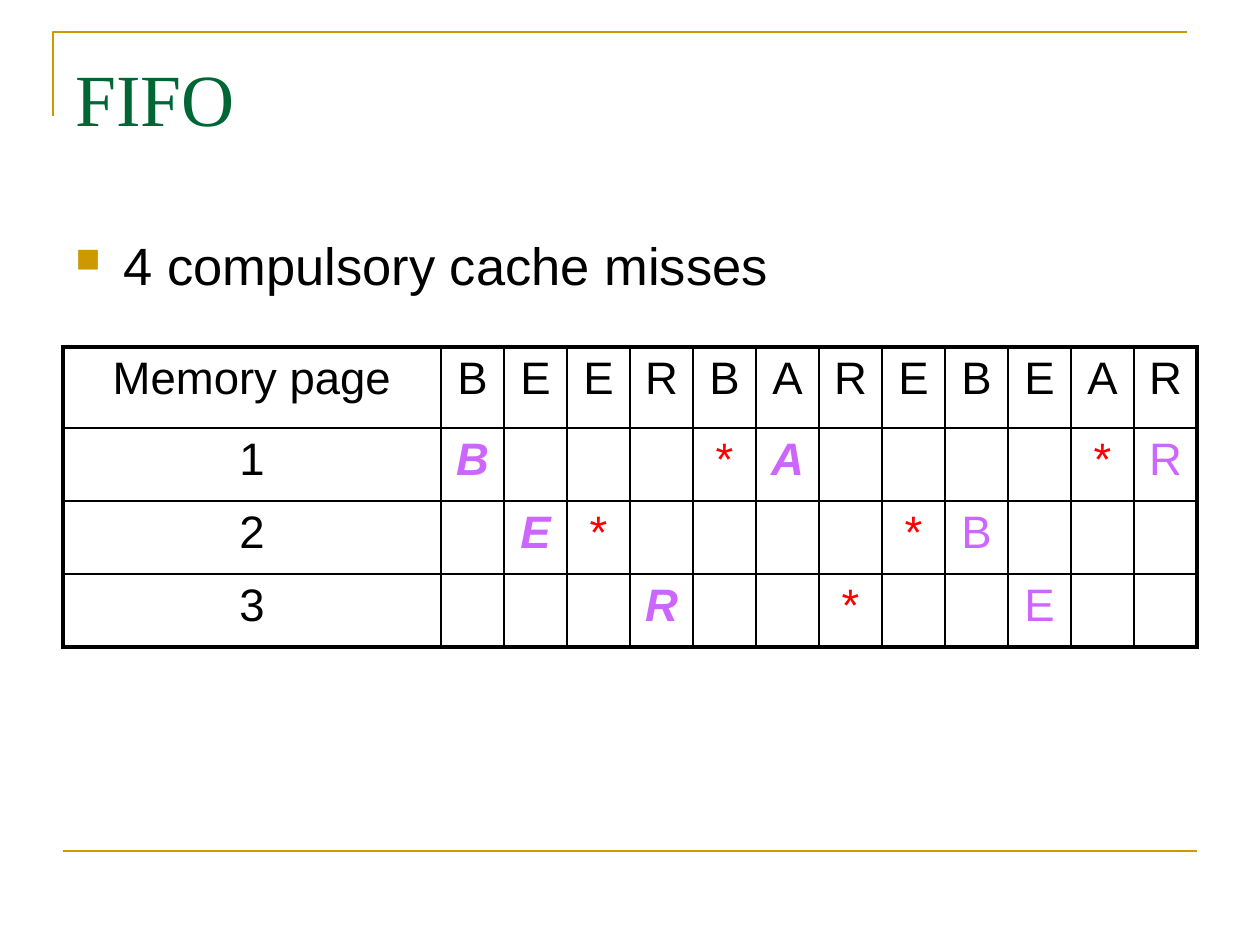
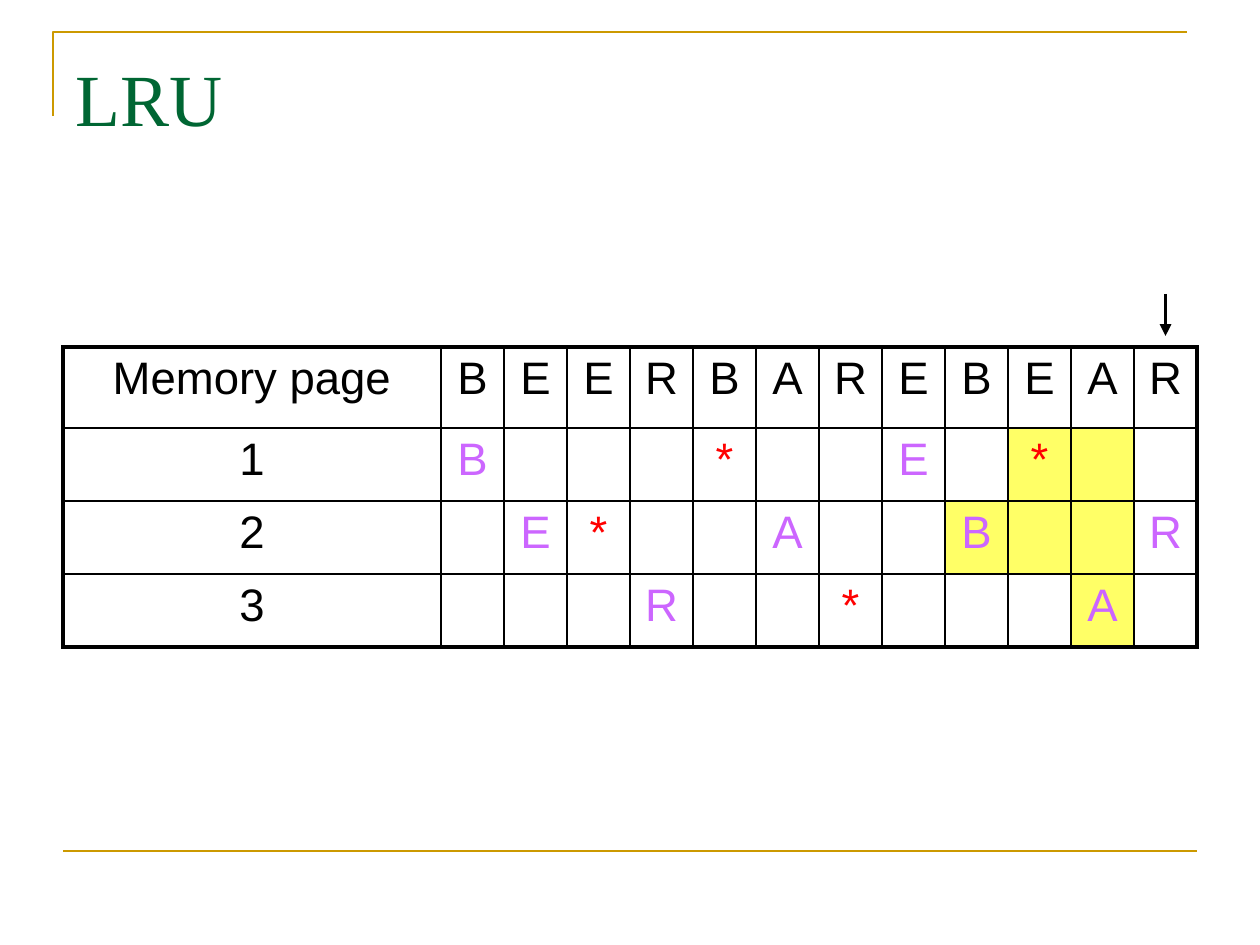
from lxml import etree
from pptx import Presentation, util as u
from pptx.dml.color import RGBColor
from pptx.enum import shapes, text
from pptx.oxml import parse_xml
from pptx.oxml.ns import nsdecls, qn

SCALE = 914400 / 126  # EMU in one px
HUES = {"gold": "CC9900", "green": "006633", "black": "000000",
        "miss": "CC66FF", "hit": "FF0000", "kept": "FFFF66"}
PAGES = "BEERBAREBEAR"
LEFT, WIDTH = 63, 1134
TOP, HEAD, ROW = 347, 81, 73
LABEL, STEP = 378, 63
LAST = len(PAGES)

FIFO = ["B...*A....*R",
        ".E*....*B...",
        "...R..*..E.."]
LRU = ["B...*..E.*..",
       ".E*..A..B..R",
       "...R..*...A."]
KEPT = {1: range(10, 12), 2: range(9, 12), 3: range(11, 12)}


def px(n):
    return u.Emu(round(n * SCALE))


def rgb(hue):
    return RGBColor.from_string(HUES[hue])


def write(frame, words, size=26, face="Arial", hue="black", align=None,
          bold=False, slant=False, mark=None):
    """Put one formatted paragraph in a text frame; mark is its bullet."""
    para = frame.paragraphs[0]
    para.alignment = align
    if mark:
        props = para._p.get_or_add_pPr()
        props.set("marL", str(px(48)))
        props.set("indent", str(-px(48)))
        tint = etree.SubElement(props, qn("a:buClr"))
        etree.SubElement(tint, qn("a:srgbClr"), val=HUES["gold"])
        etree.SubElement(props, qn("a:buSzPct"), val="65000")
        etree.SubElement(props, qn("a:buChar"), char=mark)
    run = para.add_run()
    run.text = words
    font = run.font
    font.name, font.size = face, u.Pt(size)
    font.bold, font.italic = bold, slant
    font.color.rgb = rgb(hue)


def box(slide, words, top, height, inset, **style):
    frame = slide.shapes.add_textbox(px(LEFT), px(top), px(WIDTH), px(height)).text_frame
    frame.word_wrap = True
    frame.margin_top = px(inset)
    write(frame, words, **style)


def line(slide, start, end, hue, width, arrow=False):
    link = slide.shapes.add_connector(shapes.MSO_CONNECTOR.STRAIGHT,
                                      *map(px, start + end))
    link.line.color.rgb = rgb(hue)
    link.line.width = u.Pt(width)
    etree.SubElement(link._element.spPr, qn("a:effectLst"))
    if arrow:
        etree.SubElement(link.line._get_or_add_ln(), qn("a:tailEnd"), type="triangle")


def corner(slide):
    path = slide.shapes.build_freeform(53, 116, scale=SCALE)
    path.add_line_segments([(53, 32), (1187, 32)], close=False)
    rule = path.convert_to_shape()
    rule.shadow.inherit = False
    rule.fill.background()
    rule.line.color.rgb = rgb("gold")
    rule.line.width = u.Pt(1.5)


def edge(cell, row, col):
    """Draw the cell's borders, thick on the outside of the table."""
    outer = {"L": col == 0, "R": col == LAST, "T": row == 0, "B": row == 3}
    for side, thick in outer.items():
        cell._tc.get_or_add_tcPr().append(parse_xml(
            f'<a:ln{side} {nsdecls("a")} w="{u.Pt(2.25 if thick else 1)}">'
            f'<a:solidFill><a:srgbClr val="{HUES["black"]}"/></a:solidFill>'
            f'</a:ln{side}>'))


def grid(slide, marks, first=False, kept=None):
    """Draw the cache table; first stresses the first load of each page."""
    rows = [["Memory page", *PAGES]]
    rows += [[str(n), *slots] for n, slots in enumerate(marks, 1)]
    table = slide.shapes.add_table(len(rows), LAST + 1, px(LEFT), px(TOP), px(WIDTH),
                                   px(HEAD + 3 * ROW)).table
    table.first_row = table.horz_banding = False
    for col, column in enumerate(table.columns):
        column.width = px(STEP if col else LABEL)
    for row, words in enumerate(rows):
        table.rows[row].height = px(ROW if row else HEAD)
        for col, word in enumerate(words):
            cell = table.cell(row, col)
            edge(cell, row, col)
            if kept and col in kept.get(row, ()):
                cell.fill.solid()
                cell.fill.fore_color.rgb = rgb("kept")
            else:
                cell.fill.background()
            if word == ".":
                continue
            inner = row and col
            hue = ("hit" if word == "*" else "miss") if inner else "black"
            stress = bool(first and inner and PAGES.find(word) == col - 1)
            write(cell.text_frame, word, hue=hue, bold=stress, slant=stress,
                  align=text.PP_ALIGN.CENTER)


def page(deck, title):
    slide = deck.slides.add_slide(deck.slide_layouts[6])
    corner(slide)
    line(slide, (LEFT, 851), (LEFT + WIDTH, 851), "gold", 1.5)
    box(slide, title, 38, 157, 15, size=42, face="Times New Roman", hue="green")
    return slide


def main():
    deck = Presentation()
    deck.slide_width, deck.slide_height = px(1260), px(945)

    fifo = page(deck, "FIFO")
    grid(fifo, FIFO, first=True)
    box(fifo, "4 compulsory cache misses", 220, 624, 13, size=30, mark="■")

    lru = page(deck, "LRU")
    grid(lru, LRU, kept=KEPT)
    now = LEFT + WIDTH - STEP / 2
    line(lru, (now, 294), (now, 336), "black", 2.25, arrow=True)

    deck.save("out.pptx")


if __name__ == "__main__":
    main()
